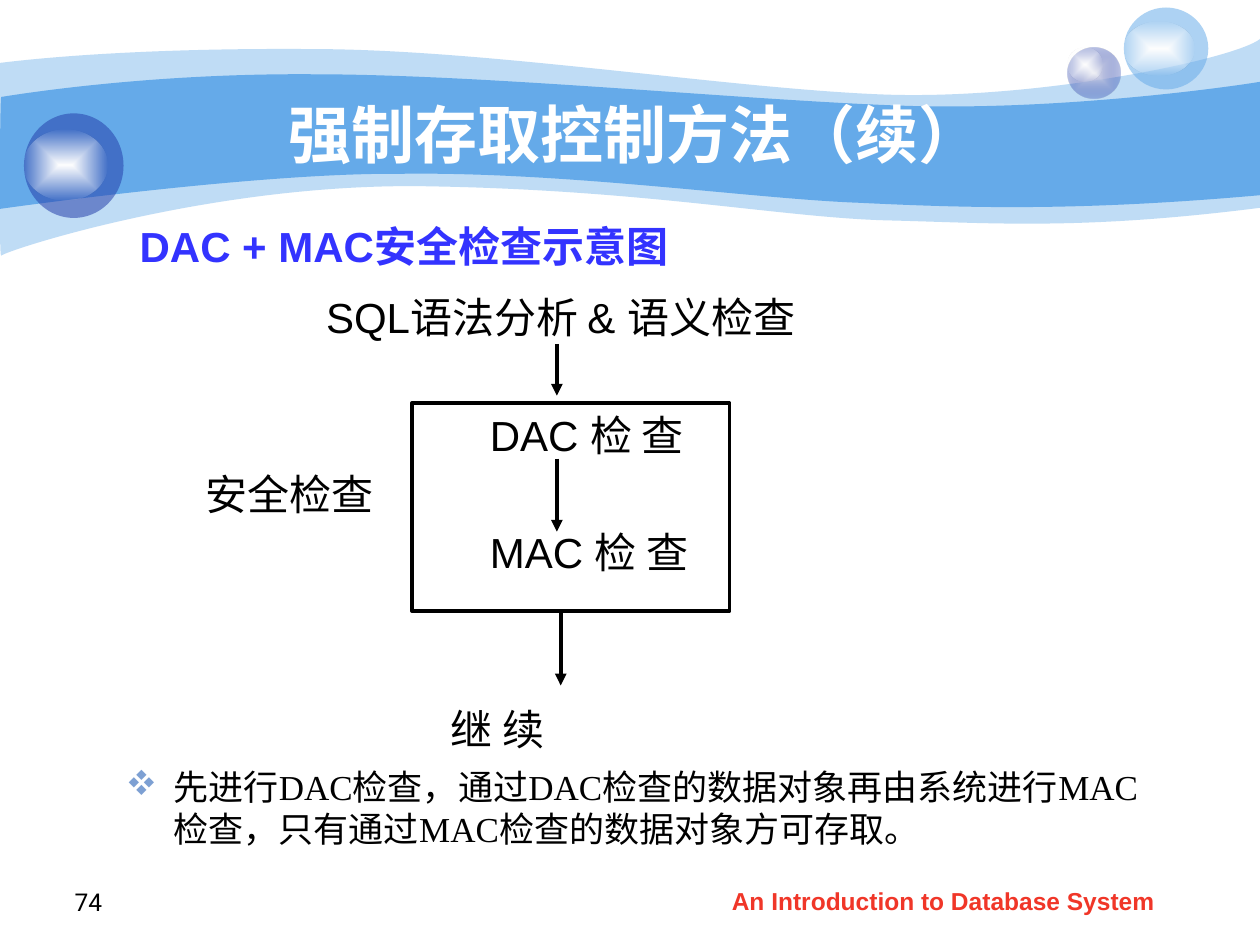
from dataclasses import dataclass

from lxml import etree
from pptx import Presentation
from pptx import util as u
from pptx.dml.color import RGBColor
from pptx.enum import shapes, text
from pptx.oxml import ns


@dataclass(frozen=True)
class Theme:
    sky: str = "65AAE9"
    navy: str = "233DA9"
    lilac: str = "E1E2ED"
    white: str = "FFFFFF"
    ink: str = "000000"
    heading: str = "3333FF"
    footer: str = "F03628"
    bullet: str = "7DA0D3"
    sans: str = "Arial"
    serif: str = "Times New Roman"
    number: str = "Roboto"
    title_pt: int = 36
    label_pt: int = 24
    note_pt: int = 20
    small_pt: int = 14
    line_pt: float = 2.25


T = Theme()
W, H = 10, 7.5
GAP_PT = 0.2 * T.label_pt       # space between diagram rows
ROW_PT = 1.4 * T.label_pt       # pitch of diagram rows
ANCHOR, ALIGN = text.MSO_ANCHOR, text.PP_ALIGN

# Waves: box, start, cubic segments (six numbers) and straight ones (two), opacity %
WAVES = [
    ((-0.01, 0.31, 10.01, 1.77), (0, 0.5),
     [(0.24, 0.47, 1.07, 0.38, 2.47, 0.39), (3.86, 0.39, 5.75, 0.7, 6.99, 0.75),
      (8.22, 0.8, 9.8, 0.47, 10, 0.31), (10, 1.65),
      (8.58, 1.83, 7.87, 1.77, 7.05, 1.75), (6.22, 1.73, 5.15, 1.51, 3.43, 1.48),
      (1.72, 1.44, 0.04, 1.99, 0.01, 2.03), (-0.01, 2.08, 0, 0.75, 0, 0.5)], 41),
    ((-0.02, 0.58, 10.02, 1.1), (0.01, 0.77),
     [(0.02, 0.77, 1.1, 0.58, 2.48, 0.59), (3.86, 0.59, 5.95, 0.8, 7.18, 0.84),
      (8.41, 0.88, 9.76, 0.69, 10, 0.65), (10, 1.55),
      (8.53, 1.68, 7.65, 1.65, 6.82, 1.61), (5.99, 1.58, 4.47, 1.36, 3.17, 1.38),
      (2.03, 1.37, -0.02, 1.66, -0.01, 1.66), (0, 1.66, 0, 0.77, 0.01, 0.77)], 100),
]

# Bubbles: body box, body stops (colour, opacity %), highlight box
BUBBLES = [
    ((8.47, 0.38, 0.42, 0.4), [(T.lilac, 100), (T.navy, 31)], (8.47, 0.38, 0.28, 0.27)),
    ((8.92, 0.06, 0.67, 0.65), [(T.sky, 53)], (8.92, 0.17, 0.56, 0.43)),
    ((0.19, 0.9, 0.79, 0.83), [(T.navy, 53)], (0.19, 1.03, 0.66, 0.56)),
]
HIGHLIGHT = [(T.white, 100), (T.white, 0)]

TITLE = "强制存取控制方法（续）"
HEADING = "DAC + MAC安全检查示意图"
BODY_BOX = (0.51, 1.7, 8.5, 4.5)
HEADING_INDENT = 0.5
LABELS = [  # text, indent, space before in points
    ("SQL语法分析 & 语义检查", 1.98, 0.5 * T.label_pt),
    ("DAC 检 查", 3.28, GAP_PT + ROW_PT),
    ("安全检查", 1.02, GAP_PT),
    ("MAC 检 查", 3.28, GAP_PT),
    ("继 续", 2.97, GAP_PT + 2 * ROW_PT),
]
CHECK_BOX = (3.27, 3.2, 2.52, 1.65)
ARROWS = [(4.45, 4.85, 5.44), (4.42, 3.64, 4.22), (4.42, 2.73, 3.14)]  # x, top, bottom
NOTE = "先进行DAC检查，通过DAC检查的数据对象再由系统进行MAC检查，只有通过MAC检查的数据对象方可存取。"
FOOTER = "An Introduction to Database System"
PAGE = "74"


def inches(box):
    return [u.Inches(v) for v in box]


def rgb(code):
    return RGBColor.from_string(code)


def sub(parent, tag, **attrs):
    return etree.SubElement(parent, ns.qn(tag), {k: str(v) for k, v in attrs.items()})


def add_color(parent, code, opacity=100):
    clr = sub(parent, "a:srgbClr", val=code)
    if opacity < 100:
        sub(clr, "a:alpha", val=opacity * 1000)


def paint(sp, stops):
    """One stop gives a flat fill, two a gradient from the centre outwards."""
    sp.shadow.inherit = False
    sp.line.fill.background()
    sp.fill.solid()
    sp.fill.fore_color.rgb = rgb(stops[0][0])
    solid = sp._element.spPr.find(ns.qn("a:solidFill"))
    if len(stops) == 1:
        solid.clear()
        add_color(solid, *stops[0])
        return
    grad = etree.Element(ns.qn("a:gradFill"), rotWithShape="1")
    gs_list = sub(grad, "a:gsLst")
    for pos, stop in zip((0, 100000), stops):
        add_color(sub(gs_list, "a:gs", pos=pos), *stop)
    sub(sub(grad, "a:path", path="shape"), "a:fillToRect", l=50000, t=50000, r=50000, b=50000)
    solid.getparent().replace(solid, grad)


def add_wave(s, box, start, segments, opacity):
    """Build a freeform over the box, then give its outline true curves."""
    x, y, w, h = inches(box)
    fb = s.shapes.build_freeform(x, y)
    fb.add_line_segments([(x + w, y), (x + w, y + h), (x, y + h)], close=True)
    sp = fb.convert_to_shape()
    outline = next(sp._element.iter(ns.qn("a:path")))
    for el in list(outline):
        outline.remove(el)
    for seg in [start, *segments]:
        tag = "a:moveTo" if seg is start else "a:lnTo" if len(seg) == 2 else "a:cubicBezTo"
        step = sub(outline, tag)
        for px, py in zip(seg[::2], seg[1::2]):
            sub(step, "a:pt", x=u.Inches(px) - x, y=u.Inches(py) - y)
    sub(outline, "a:close")
    paint(sp, [(T.sky, opacity)])


def add_ellipse(s, box, stops):
    paint(s.shapes.add_shape(shapes.MSO_SHAPE.OVAL, *inches(box)), stops)


def add_frame(s, box, anchor=ANCHOR.TOP):
    tf = s.shapes.add_textbox(*inches(box)).text_frame
    tf.word_wrap = True
    tf.vertical_anchor = anchor
    return tf


def write(p, words, size, color, font=T.sans, bold=False, align=ALIGN.LEFT):
    p.text, p.alignment = words, align
    p.font.size, p.font.name, p.font.bold = u.Pt(size), font, bold
    p.font.color.rgb = rgb(color)


def indent(p, left, first=0):
    pPr = p._p.get_or_add_pPr()
    pPr.set("marL", str(u.Inches(left)))
    pPr.set("indent", str(u.Inches(first)))
    return pPr


def add_bullet(p, hang):
    pPr = indent(p, hang, -hang)
    bullet = [etree.Element(ns.qn("a:buClr")),
              etree.Element(ns.qn("a:buFont"), typeface="Wingdings"),
              etree.Element(ns.qn("a:buChar"), char="v")]
    add_color(bullet[0], T.bullet)
    for i, el in enumerate(bullet):
        pPr.insert(i, el)


def add_diagram_text(s):
    tf = add_frame(s, BODY_BOX)
    p = tf.paragraphs[0]
    write(p, HEADING, T.label_pt, T.heading, bold=True, align=ALIGN.JUSTIFY)
    indent(p, HEADING_INDENT)
    for words, left, before in LABELS:
        p = tf.add_paragraph()
        write(p, words, T.label_pt, T.ink, align=ALIGN.JUSTIFY)
        indent(p, left)
        p.space_before = u.Pt(before)


def add_arrow(s, x, top, bottom):
    c = s.shapes.add_connector(shapes.MSO_CONNECTOR.STRAIGHT, *inches((x, top, x, bottom)))
    c.line.color.rgb = rgb(T.ink)
    c.line.width = u.Pt(T.line_pt)
    sub(c.line._get_or_add_ln(), "a:tailEnd", type="triangle")
    sub(c._element.spPr, "a:effectLst")


def main():
    prs = Presentation()
    prs.slide_width, prs.slide_height = u.Inches(W), u.Inches(H)
    s = prs.slides.add_slide(prs.slide_layouts[6])

    for wave in WAVES:
        add_wave(s, *wave)
    for body, stops, shine in BUBBLES:
        add_ellipse(s, body, stops)
        add_ellipse(s, shine, HIGHLIGHT)

    footer = add_frame(s, (5.71, 6.98, 3.94, 0.35))
    write(footer.paragraphs[0], FOOTER, T.small_pt, T.footer, bold=True)
    page = add_frame(s, (0.27, 6.82, 0.64, 0.5), ANCHOR.BOTTOM)
    write(page.paragraphs[0], PAGE, T.small_pt, T.ink, font=T.number, align=ALIGN.RIGHT)
    title = add_frame(s, (1, 0.75, 8.08, 0.62), ANCHOR.MIDDLE)
    write(title.paragraphs[0], TITLE, T.title_pt, T.white, bold=True, align=ALIGN.CENTER)

    add_diagram_text(s)
    for arrow in ARROWS:
        add_arrow(s, *arrow)
    sp = s.shapes.add_shape(shapes.MSO_SHAPE.RECTANGLE, *inches(CHECK_BOX))
    sp.shadow.inherit = False
    sp.fill.background()
    sp.line.color.rgb = rgb(T.ink)
    sp.line.width = u.Pt(T.line_pt)

    note = add_frame(s, (0.9, 6.03, 8.27, 0.77)).paragraphs[0]
    write(note, NOTE, T.note_pt, T.ink, font=T.serif)
    add_bullet(note, 0.38)
    prs.save("out.pptx")


if __name__ == "__main__":
    main()
